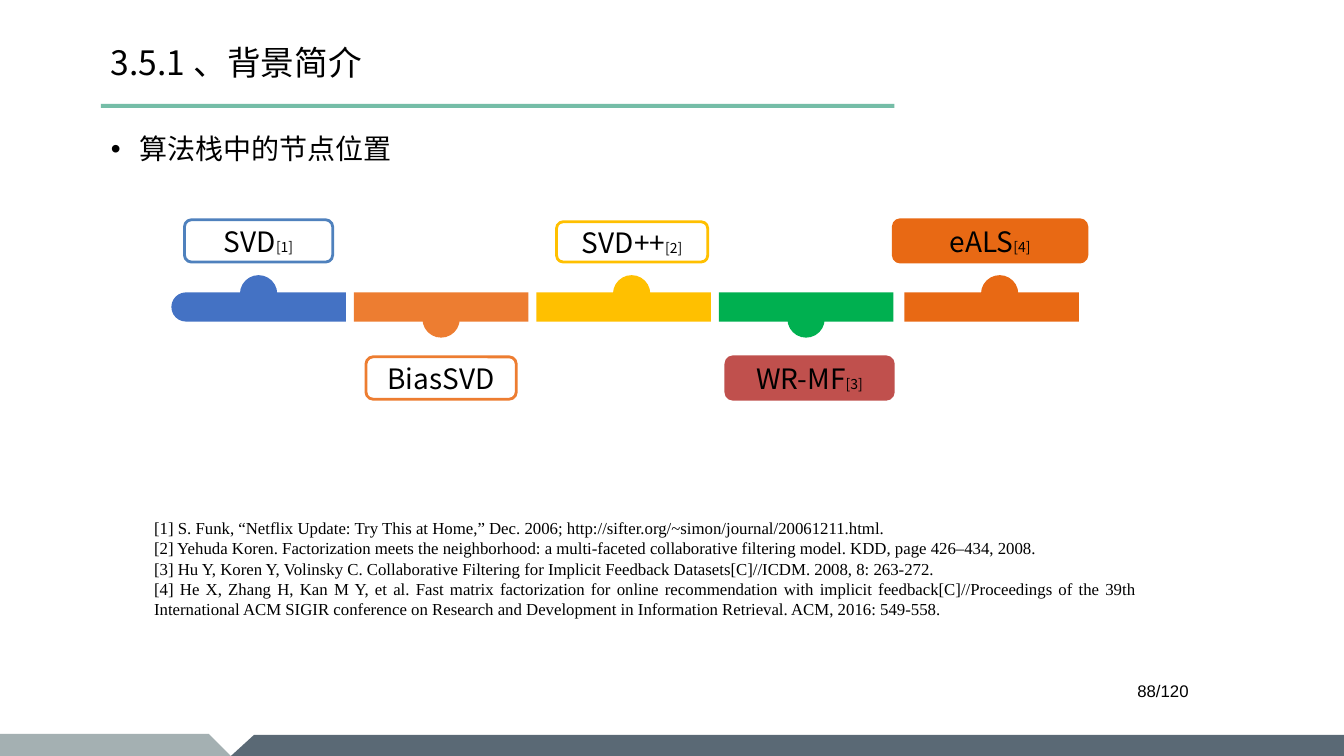
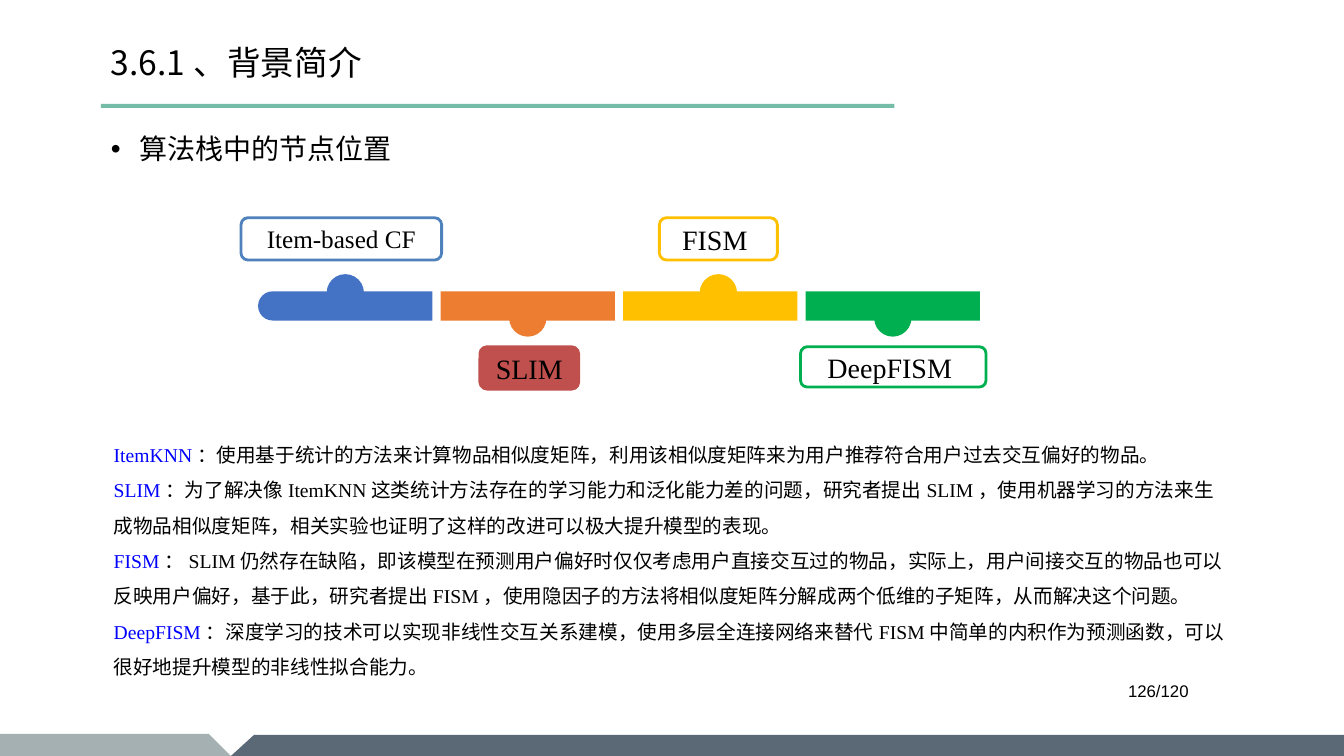
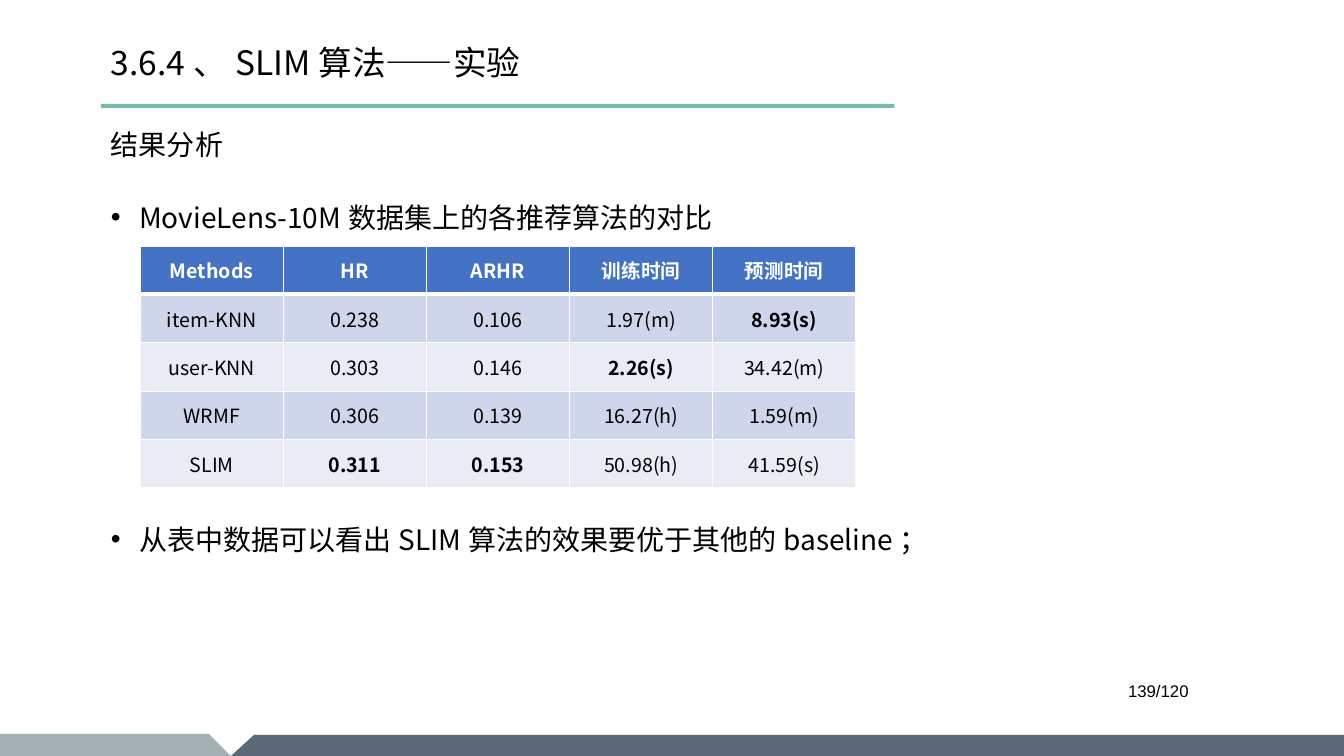
from dataclasses import dataclass

from lxml import etree
from pptx import Presentation
from pptx import util as u
from pptx.dml.color import RGBColor
from pptx.enum import shapes, text
from pptx.oxml.ns import qn

PX = 9144  # 100 px to the inch
WIDTH, HEIGHT = 1333, 750
SANS, SERIF, PLAIN = "Noto Sans CJK SC", "Times New Roman", "Arial"
COLOURS = {
    "black": "000000", "white": "FFFFFF", "link": "0000FF",
    "rule": "75BDA7", "slate": "243848", "grey": "7A8C8E",
    "blue": "4472C4", "outline": "4F81BD", "orange": "ED7D31",
    "yellow": "FFC000", "green": "00B050", "red": "C0504D",
    "rust": "E86914", "odd": "CFD5EA", "even": "E9EBF5",
}
ALIGN = text.PP_ALIGN
MIDDLE = text.MSO_ANCHOR.MIDDLE
PRESET = shapes.MSO_SHAPE

# Timeline geometry
BAR_WIDTH, BAR_HEIGHT, BAR_PITCH, KNOB = 173, 29, 181, 37


@dataclass
class Node:
    spans: list
    bar: str
    outline: str
    label: tuple
    fill: str = None
    font: str = SANS
    size: int = 20
    bar_shift: int = 0
    knob_shift: int = 0


def rgb(name):
    return RGBColor.from_string(COLOURS[name])


def px(*lengths):
    return [u.Emu(length * PX) for length in lengths]


# Text
def add_bullet(para):
    props = para._p.get_or_add_pPr()
    props.set("marL", str(28 * PX))
    props.set("indent", str(-28 * PX))
    etree.SubElement(props, qn("a:buFont")).set("typeface", PLAIN)
    etree.SubElement(props, qn("a:buChar")).set("char", "•")


def write(frame, paragraphs, size=20, font=SANS, colour="black", bold=False,
          align=ALIGN.LEFT, spacing=None, bullet=False):
    """Each paragraph is a string or a list of (text, changes) spans."""
    for index, content in enumerate(paragraphs):
        para = frame.add_paragraph() if index else frame.paragraphs[0]
        if bullet:
            add_bullet(para)
        para.alignment = align
        if spacing:
            para.line_spacing = spacing
        spans = [(content, {})] if isinstance(content, str) else content
        for words, changes in spans:
            span = para.add_run()
            span.text = words
            span.font.size = u.Pt(changes.get("size", size))
            span.font.name = font
            span.font.bold = bold
            span.font.color.rgb = rgb(changes.get("colour", colour))
            east = etree.SubElement(span._r.get_or_add_rPr(), qn("a:ea"))
            east.set("typeface", SANS)


def add_text(page, box, paragraphs, inset=5, anchor=text.MSO_ANCHOR.TOP, **fmt):
    frame = page.shapes.add_textbox(*px(*box)).text_frame
    frame.word_wrap = True
    frame.vertical_anchor = anchor
    frame.margin_left = frame.margin_right = u.Emu(inset * PX)
    frame.margin_top = frame.margin_bottom = u.Emu(5 * PX)
    write(frame, paragraphs, **fmt)


# Shapes
def paint(shape, fill=None, line=None, alpha=None):
    shape.shadow.inherit = False
    if fill:
        shape.fill.solid()
        shape.fill.fore_color.rgb = rgb(fill)
    else:
        shape.fill.background()
    if line:
        shape.line.color.rgb = rgb(line)
        shape.line.width = u.Pt(2)
    else:
        shape.line.fill.background()
    if alpha:
        colour = shape._element.spPr.find(qn("a:solidFill"))[0]
        etree.SubElement(colour, qn("a:alpha")).set("val", str(alpha * 1000))


def add_shape(page, preset, box, fill=None, line=None):
    shape = page.shapes.add_shape(preset, *px(*box))
    paint(shape, fill, line)
    return shape


def add_band(page, points, fill, alpha):
    builder = page.shapes.build_freeform(*points[0], scale=PX)
    builder.add_line_segments(points[1:], close=True)
    paint(builder.convert_to_shape(), fill, alpha=alpha)


def add_bar(page, left, top, colour, rounded):
    # An upright shape turned so that its rounded end faces left
    turn = (BAR_WIDTH - BAR_HEIGHT) // 2
    bar = add_shape(page, PRESET.ROUND_2_SAME_RECTANGLE,
                    (left + turn, top - turn, BAR_HEIGHT, BAR_WIDTH), colour)
    bar.adjustments[0] = 0.5 if rounded else 0
    bar.adjustments[1] = 0
    bar.rotation = 270


def add_timeline(page, left, top, nodes):
    for index, node in enumerate(nodes):
        bar_left = left + index * BAR_PITCH + node.bar_shift
        add_bar(page, bar_left, top, node.bar, rounded=index == 0)
        knob_left = bar_left + (BAR_WIDTH - KNOB) // 2 + node.knob_shift
        knob_top = top + (8 if index % 2 else -17)
        add_shape(page, PRESET.OVAL, (knob_left, knob_top, KNOB, KNOB), node.bar)
        label = add_shape(page, PRESET.ROUNDED_RECTANGLE, node.label,
                          node.fill, node.outline)
        label.text_frame.word_wrap = True
        label.text_frame.vertical_anchor = MIDDLE
        write(label.text_frame, [node.spans], size=node.size, font=node.font,
              align=ALIGN.CENTER)


# Table
def add_borders(cell, bottom):
    props = cell._tc.get_or_add_tcPr()
    for index, side in enumerate(("lnL", "lnR", "lnT", "lnB")):
        edge = etree.Element(qn("a:" + side))
        edge.set("w", str(u.Pt(bottom if side == "lnB" else 1)))
        fill = etree.SubElement(edge, qn("a:solidFill"))
        etree.SubElement(fill, qn("a:srgbClr")).set("val", COLOURS["white"])
        props.insert(index, edge)


def add_table(page, left, top, column, height, rows, best):
    count = len(rows[0])
    table = page.shapes.add_table(
        len(rows), count,
        *px(left, top, column * count, height * len(rows))).table
    for r, row in enumerate(rows):
        table.rows[r].height = u.Emu(height * PX)
        for c, value in enumerate(row):
            cell = table.cell(r, c)
            cell.vertical_anchor = MIDDLE
            cell.fill.solid()
            shade = "blue" if r == 0 else "odd" if r % 2 else "even"
            cell.fill.fore_color.rgb = rgb(shade)
            add_borders(cell, bottom=1 if r else 3)
            write(cell.text_frame, [value], size=14, align=ALIGN.CENTER,
                  colour="black" if r else "white",
                  bold=r == 0 or value in best)


# Shared page frame
def add_page(deck, title, number):
    page = deck.slides.add_slide(deck.slide_layouts[6])
    add_band(page, [(229, HEIGHT), (252, 729), (WIDTH, 729), (WIDTH, HEIGHT)],
             "slate", 75)
    add_band(page, [(0, 728), (207, 728), (229, HEIGHT), (0, HEIGHT)],
             "grey", 68)
    add_shape(page, PRESET.RECTANGLE, (100, 103, 787, 4), "rule")
    add_text(page, (105, 19, 832, 86), [title], size=24, anchor=MIDDLE)
    add_text(page, (1084, 670, 100, 30), [f"{number}/120"], size=12,
             font=PLAIN, align=ALIGN.RIGHT, anchor=MIDDLE)
    return page


def add_point(page, top, words, bullet=True):
    add_text(page, (105, top, 1127, 50), [words], bullet=bullet)


# Pages
def build_factorization(deck):
    page = add_page(deck, "3.5.1、背景简介", 88)
    add_point(page, 126, "算法栈中的节点位置")

    def cited(name, number):
        return [(name, {}), (f"[{number}]", {"size": 10})]

    add_timeline(page, 170, 290, [
        Node(cited("SVD", 1), "blue", "outline", (183, 218, 147, 42)),
        Node([("BiasSVD", {})], "orange", "orange", (363, 354, 149, 42), "white"),
        Node(cited("SVD++", 2), "yellow", "yellow", (552, 220, 150, 40), "white",
             knob_shift=8),
        Node(cited("WR-MF", 3), "green", "red", (720, 354, 166, 42), "red"),
        Node(cited("eALS", 4), "rust", "rust", (886, 218, 192, 42), "rust",
             bar_shift=3, knob_shift=8),
    ])
    add_text(page, (143, 509, 995, 131), [
        "[1] S. Funk, “Netflix Update: Try This at Home,” Dec. 2006; "
        "http://sifter.org/~simon/journal/20061211.html.",
        "[2] Yehuda Koren. Factorization meets the neighborhood: a multi-faceted "
        "collaborative filtering model. KDD, page 426–434, 2008.",
        "[3] Hu Y, Koren Y, Volinsky C. Collaborative Filtering for Implicit "
        "Feedback Datasets[C]//ICDM. 2008, 8: 263-272.",
        "[4] He X, Zhang H, Kan M Y, et al. Fast matrix factorization for online "
        "recommendation with implicit feedback[C]//Proceedings of the 39th "
        "International ACM SIGIR conference on Research and Development in "
        "Information Retrieval. ACM, 2016: 549-558.",
    ], inset=10, size=12, font=SERIF, align=ALIGN.JUSTIFY)


def build_similarity(deck):
    page = add_page(deck, "3.6.1、背景简介", 126)
    add_point(page, 126, "算法栈中的节点位置")
    add_timeline(page, 256, 289, [
        Node([("Item-based CF", {})], "blue", "outline", (239, 216, 199, 42),
             font=SERIF, size=18),
        Node([("SLIM", {})], "orange", "red", (476, 344, 98, 42), "red",
             font=SERIF),
        Node([("FISM ", {})], "yellow", "yellow", (654, 216, 117, 42),
             font=SERIF, knob_shift=8),
        Node([("DeepFISM ", {})], "green", "green", (794, 344, 184, 40),
             font=SERIF),
    ])
    methods = {
        "ItemKNN": "：使用基于统计的方法来计算物品相似度矩阵，利用该相似度矩阵来为用户推荐"
                   "符合用户过去交互偏好的物品。",
        "SLIM": "：为了解决像ItemKNN这类统计方法存在的学习能力和泛化能力差的问题，研究者"
                "提出SLIM，使用机器学习的方法来生成物品相似度矩阵，相关实验也证明了这样的"
                "改进可以极大提升模型的表现。",
        "FISM": "：SLIM仍然存在缺陷，即该模型在预测用户偏好时仅仅考虑用户直接交互过的物品，"
                "实际上，用户间接交互的物品也可以反映用户偏好，基于此，研究者提出FISM，"
                "使用隐因子的方法将相似度矩阵分解成两个低维的子矩阵，从而解决这个问题。",
        "DeepFISM": "：深度学习的技术可以实现非线性交互关系建模，使用多层全连接网络来替代"
                    "FISM中简单的内积作为预测函数，可以很好地提升模型的非线性拟合能力。",
    }
    add_text(page, (103, 423, 1126, 257),
             [[(name, {"colour": "link"}), (detail, {})]
              for name, detail in methods.items()],
             inset=10, size=14, font=SERIF, spacing=1.5)


def build_experiment(deck):
    page = add_page(deck, "3.6.4、SLIM算法——实验", 139)
    add_point(page, 122, "结果分析", bullet=False)
    add_point(page, 194, "MovieLens-10M数据集上的各推荐算法的对比")
    add_table(page, 139, 244, 142, 48, [
        ["Methods", "HR", "ARHR", "训练时间", "预测时间"],
        ["item-KNN", "0.238", "0.106", "1.97(m)", "8.93(s)"],
        ["user-KNN", "0.303", "0.146", "2.26(s)", "34.42(m)"],
        ["WRMF", "0.306", "0.139", "16.27(h)", "1.59(m)"],
        ["SLIM", "0.311", "0.153", "50.98(h)", "41.59(s)"],
    ], best={"0.311", "0.153", "2.26(s)", "8.93(s)"})
    add_point(page, 513, "从表中数据可以看出SLIM算法的效果要优于其他的baseline；")


def main():
    deck = Presentation()
    deck.slide_width, deck.slide_height = px(WIDTH, HEIGHT)
    build_factorization(deck)
    build_similarity(deck)
    build_experiment(deck)
    deck.save("out.pptx")


if __name__ == "__main__":
    main()
